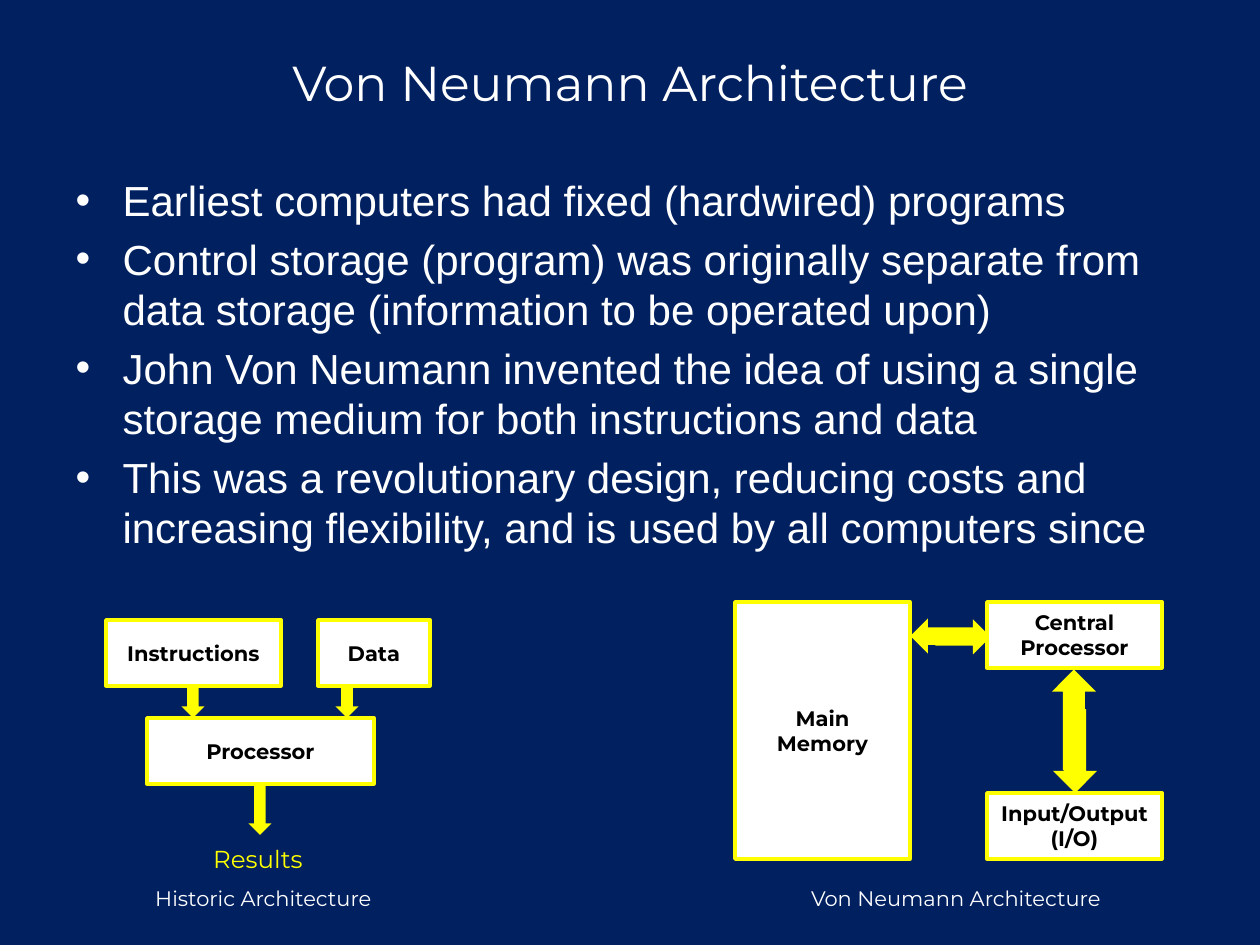
from pptx import Presentation
from pptx import util as u
from pptx.dml.color import RGBColor
from pptx.enum import shapes, text

PX = 914400 / 126
NAVY, WHITE, BLACK, YELLOW = "002060", "FFFFFF", "000000", "FFFF00"
POINTS = [
    "Earliest computers had fixed (hardwired) programs",
    "Control storage (program) was originally separate from data storage "
    "(information to be operated upon)",
    "John Von Neumann invented the idea of using a single storage medium "
    "for both instructions and data",
    "This was a revolutionary design, reducing costs and increasing "
    "flexibility, and is used by all computers since",
]


def px(*vals):
    """Turn pixels into a list of EMU lengths."""
    return [u.Emu(round(v * PX)) for v in vals]


def color(code):
    """Return the colour for a hex string."""
    return RGBColor.from_string(code)


def place(shape, box):
    """Move a shape to a pixel box."""
    shape.left, shape.top, shape.width, shape.height = px(*box)


def style(frame, size, code, face="Montserrat", bold=False):
    """Set the font of every paragraph in a frame."""
    for para in frame.paragraphs:
        font = para.font
        font.name, font.size, font.bold = face, u.Pt(size), bold
        font.color.rgb = color(code)


def center(frame):
    """Wrap a frame and centre its text both ways."""
    frame.word_wrap = True
    frame.vertical_anchor = text.MSO_ANCHOR.MIDDLE
    for para in frame.paragraphs:
        para.alignment = text.PP_ALIGN.CENTER


def label(slide, words, box, size=12, code=WHITE):
    """Add a line of centred text."""
    frame = slide.shapes.add_textbox(*px(*box)).text_frame
    frame.text = words
    center(frame)
    style(frame, size, code)


def block(slide, words, box):
    """Add a white box with a yellow edge."""
    rect = slide.shapes.add_shape(shapes.MSO_SHAPE.RECTANGLE, *px(*box))
    rect.shadow.inherit = False
    rect.fill.solid()
    rect.fill.fore_color.rgb = color(WHITE)
    rect.line.color.rgb = color(YELLOW)
    rect.line.width = u.Pt(2)
    frame = rect.text_frame
    frame.text = words
    frame.margin_left, frame.margin_right = px(13, 13)
    center(frame)
    style(frame, 12, BLACK, bold=True)


def arrow(slide, x, y, long, thick, turn):
    """Add a block arrow centred on a point and turned clockwise."""
    box = px(x - long / 2, y - thick / 2, long, thick)
    shape = slide.shapes.add_shape(shapes.MSO_SHAPE.RIGHT_ARROW, *box)
    shape.shadow.inherit = False
    shape.rotation = turn
    shape.fill.solid()
    shape.fill.fore_color.rgb = color(YELLOW)
    shape.line.fill.background()


def title(slide, box):
    """Fill the title placeholder."""
    shape = slide.shapes.title
    place(shape, box)
    frame = shape.text_frame
    frame.text = "Von Neumann Architecture"
    center(frame)
    style(frame, 28, WHITE)


def body(slide, box):
    """Fill the bullet list placeholder."""
    shape = slide.placeholders[1]
    place(shape, box)
    frame = shape.text_frame
    frame.text = "\n".join(POINTS)
    frame.auto_size = text.MSO_AUTO_SIZE.NONE
    hang = px(47)[0]
    for para in frame.paragraphs:
        props = para._p.get_or_add_pPr()
        props.set("marL", str(hang))
        props.set("indent", str(-hang))
    frame.paragraphs[0].space_before = u.Pt(0)
    style(frame, 24, WHITE, "Arial")


def historic(slide, x, y):
    """Draw the separate storage design from its top left corner."""
    for left in (87, 241):
        arrow(slide, x + left, y + 72, 52, 23, 90)
    arrow(slide, x + 154, y + 189, 52, 23, 90)
    block(slide, "Instructions", (x, y, 175, 66))
    block(slide, "Data", (x + 212, y, 112, 66))
    block(slide, "Processor", (x + 41, y + 98, 227, 66))
    label(slide, "Results", (x + 73, y + 220, 158, 37), 14, YELLOW)
    label(slide, "Historic Architecture", (x, y + 257, 315, 43))


def shared(slide, x, y):
    """Draw the single storage design from its top left corner."""
    arrow(slide, x + 209, y + 34, 67, 35, 180)
    arrow(slide, x + 228, y + 35, 55, 35, 0)
    block(slide, "Main Memory", (x, y, 175, 257))
    block(slide, "Central\nProcessor", (x + 252, y, 175, 66))
    block(slide, "Input/Output\n(I/O)", (x + 252, y + 191, 175, 66))
    arrow(slide, x + 339, y + 118, 101, 44, 270)
    arrow(slide, x + 340, y + 149, 84, 44, 90)
    label(slide, "Von Neumann Architecture", (x - 36, y + 275, 514, 43))


def main():
    """Build and save the slide."""
    deck = Presentation()
    deck.slide_width, deck.slide_height = px(1260, 945)
    slide = deck.slides.add_slide(deck.slide_layouts[1])
    slide.background.fill.solid()
    slide.background.fill.fore_color.rgb = color(NAVY)
    title(slide, (63, 38, 1134, 88))
    body(slide, (63, 168, 1154, 397))
    historic(slide, 106, 620)
    shared(slide, 735, 602)
    deck.save("out.pptx")


if __name__ == "__main__":
    main()
